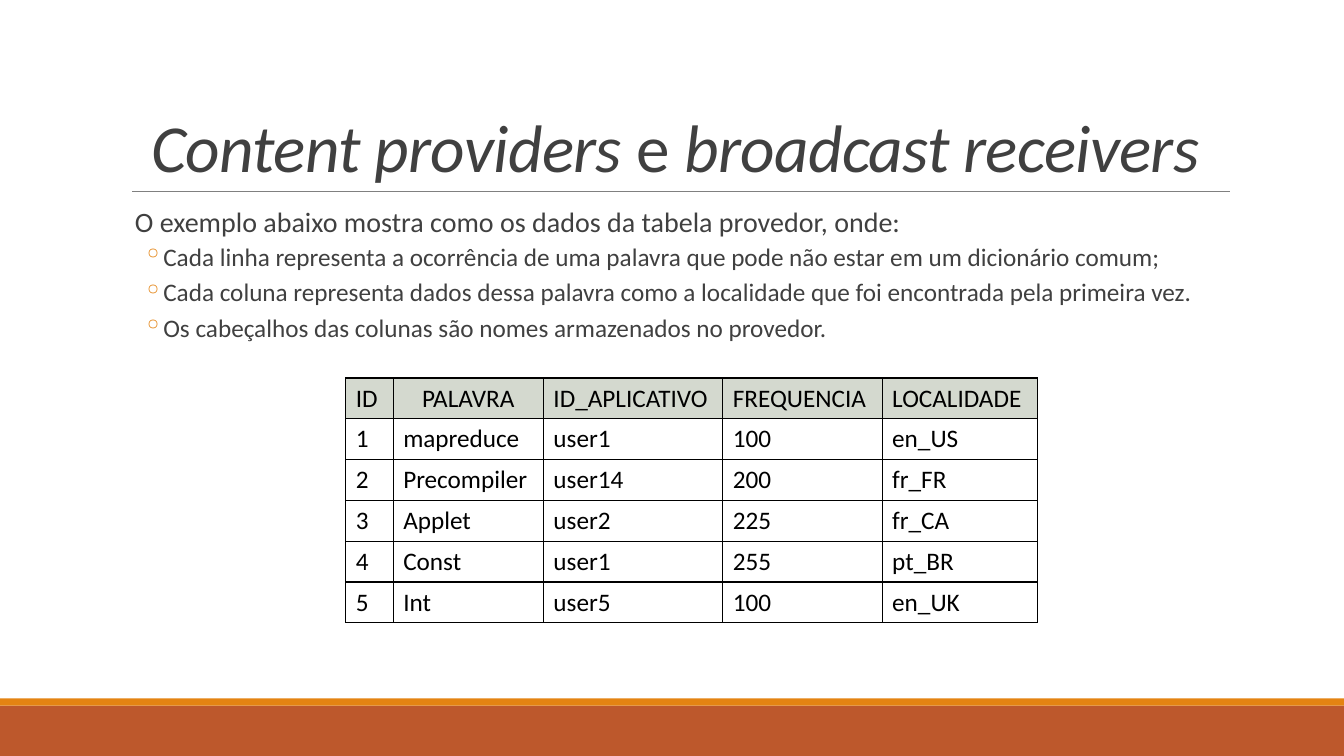
from lxml import etree
from pptx import Presentation
from pptx.dml.color import RGBColor
from pptx.enum.shapes import MSO_CONNECTOR, MSO_SHAPE
from pptx.enum.text import MSO_ANCHOR, PP_ALIGN
from pptx.oxml.ns import qn
from pptx.util import Emu, Inches, Pt

LEFT, CENTER = PP_ALIGN.LEFT, PP_ALIGN.CENTER
TOP, BOTTOM = MSO_ANCHOR.TOP, MSO_ANCHOR.BOTTOM
RECTANGLE, STRAIGHT = MSO_SHAPE.RECTANGLE, MSO_CONNECTOR.STRAIGHT

# Content
TITLE = [("Content providers ", True), ("e ", False), ("broadcast receivers", True)]
INTRO = "O exemplo abaixo mostra como os dados da tabela provedor, onde:"
POINTS = [
    "Cada linha representa a ocorrência de uma palavra que pode não estar em um dicionário comum;",
    "Cada coluna representa dados dessa palavra como a localidade que foi encontrada pela primeira vez.",
    "Os cabeçalhos das colunas são nomes armazenados no provedor.",
]
HEADERS = ["ID", "PALAVRA", "ID_APLICATIVO", "FREQUENCIA", "LOCALIDADE"]
RECORDS = [
    ("1", "mapreduce", "user1", "100", "en_US"),
    ("2", "Precompiler", "user14", "200", "fr_FR"),
    ("3", "Applet", "user2", "225", "fr_CA"),
    ("4", "Const", "user1", "255", "pt_BR"),
    ("5", "Int", "user5", "100", "en_UK"),
]

# Layout in inches
WIDTH, HEIGHT = 13.33, 7.5
MARGIN, TEXT_WIDTH = 1.2, 11
RULE_Y, RULE_INSET = 1.9, 0.11
FOOTER_HEIGHT, STRIPE_HEIGHT = 0.5, 0.07
TABLE_LEFT, TABLE_TOP, ROW_HEIGHT = 3.43, 3.75, 0.405
COLUMN_WIDTHS = [0.47, 1.49, 1.78, 1.58, 1.54]

FONT = "Calibri"
INK, BLACK, GRAY = "404040", "000000", "808080"
RUST, ORANGE, SAGE = "BD582C", "E48312", "D4D9CF"


def color(value):
    return RGBColor.from_string(value)


def write(paragraph, text, size=18, ink=INK, italic=False, align=LEFT, tracking=0):
    paragraph.alignment = align
    run = paragraph.add_run()
    run.text = text
    font = run.font
    font.name, font.size, font.italic = FONT, Pt(size), italic
    font.color.rgb = color(ink)
    if tracking:
        run._r.get_or_add_rPr().set("spc", str(int(tracking * 100)))


def add_text_frame(slide, top, height, anchor, side_inset):
    box = slide.shapes.add_textbox(Inches(MARGIN), Inches(top), Inches(TEXT_WIDTH), Inches(height))
    frame = box.text_frame
    frame.word_wrap, frame.vertical_anchor = True, anchor
    frame.margin_left = frame.margin_right = Inches(side_inset)
    return frame


def space(paragraph, lines, before=0, after=0):
    paragraph.line_spacing = lines
    paragraph.space_before, paragraph.space_after = Pt(before), Pt(after)


def bullet(paragraph, mark, indent, hang):
    props = paragraph._p.get_or_add_pPr()
    props.set("marL", str(Inches(indent)))
    props.set("indent", str(-Inches(hang)))
    tint = etree.SubElement(props, qn("a:buClr"))
    etree.SubElement(tint, qn("a:srgbClr"), val=ORANGE)
    etree.SubElement(props, qn("a:buChar"), char=mark)


def add_band(slide, top, height, fill):
    band = slide.shapes.add_shape(RECTANGLE, 0, Inches(top), Inches(WIDTH), Inches(height))
    band.shadow.inherit = False
    band.fill.solid()
    band.fill.fore_color.rgb = color(fill)
    band.line.fill.background()


def add_borders(cell):
    props = cell._tc.get_or_add_tcPr()
    for position, side in enumerate("LRTB"):
        edge = etree.Element(qn("a:ln" + side), w=str(Pt(1)))
        fill = etree.SubElement(edge, qn("a:solidFill"))
        etree.SubElement(fill, qn("a:srgbClr"), val=BLACK)
        props.insert(position, edge)


def add_records_table(slide):
    rows = [HEADERS, *RECORDS]
    frame = slide.shapes.add_table(
        len(rows), len(HEADERS), Inches(TABLE_LEFT), Inches(TABLE_TOP),
        Inches(sum(COLUMN_WIDTHS)), Inches(ROW_HEIGHT * len(rows)))
    table = frame.table
    table.first_row = table.horz_banding = False
    for column, width in zip(table.columns, COLUMN_WIDTHS):
        column.width = Inches(width)
    for r, values in enumerate(rows):
        table.rows[r].height = Inches(ROW_HEIGHT)
        for c, value in enumerate(values):
            cell = table.cell(r, c)
            if r == 0:
                cell.fill.solid()
                cell.fill.fore_color.rgb = color(SAGE)
            else:
                cell.fill.background()
            add_borders(cell)
            align = CENTER if value == "PALAVRA" else LEFT
            write(cell.text_frame.paragraphs[0], value, ink=BLACK, align=align)


def main():
    deck = Presentation()
    deck.slide_width, deck.slide_height = Inches(WIDTH), Inches(HEIGHT)
    slide = deck.slides.add_slide(deck.slide_layouts[6])

    # Footer bands
    footer_top = HEIGHT - FOOTER_HEIGHT
    add_band(slide, footer_top, FOOTER_HEIGHT, RUST)
    add_band(slide, footer_top - STRIPE_HEIGHT, STRIPE_HEIGHT, ORANGE)

    # Rule under the title
    rule = slide.shapes.add_connector(
        STRAIGHT, Inches(MARGIN + RULE_INSET), Inches(RULE_Y),
        Inches(MARGIN + TEXT_WIDTH), Inches(RULE_Y))
    rule.line.color.rgb, rule.line.width = color(GRAY), Pt(0.5)
    etree.SubElement(rule._element.spPr, qn("a:effectLst"))

    # Introduction and points
    body = add_text_frame(slide, top=2.02, height=4.4, anchor=TOP, side_inset=0)
    intro = body.paragraphs[0]
    write(intro, INTRO, size=20)
    space(intro, 0.9, before=12, after=2)
    bullet(intro, " ", indent=0.1, hang=0.1)
    for text in POINTS:
        point = body.add_paragraph()
        point.level = 1
        write(point, text)
        space(point, 0.9, before=2, after=4)
        bullet(point, "◦", indent=0.42, hang=0.2)

    # Title
    title = add_text_frame(slide, top=0.31, height=1.59, anchor=BOTTOM, side_inset=0.1).paragraphs[0]
    space(title, 0.85)
    for text, italic in TITLE:
        write(title, text, size=48, italic=italic, align=CENTER, tracking=-0.5)

    # Table
    add_records_table(slide)

    deck.save("out.pptx")


if __name__ == "__main__":
    main()
